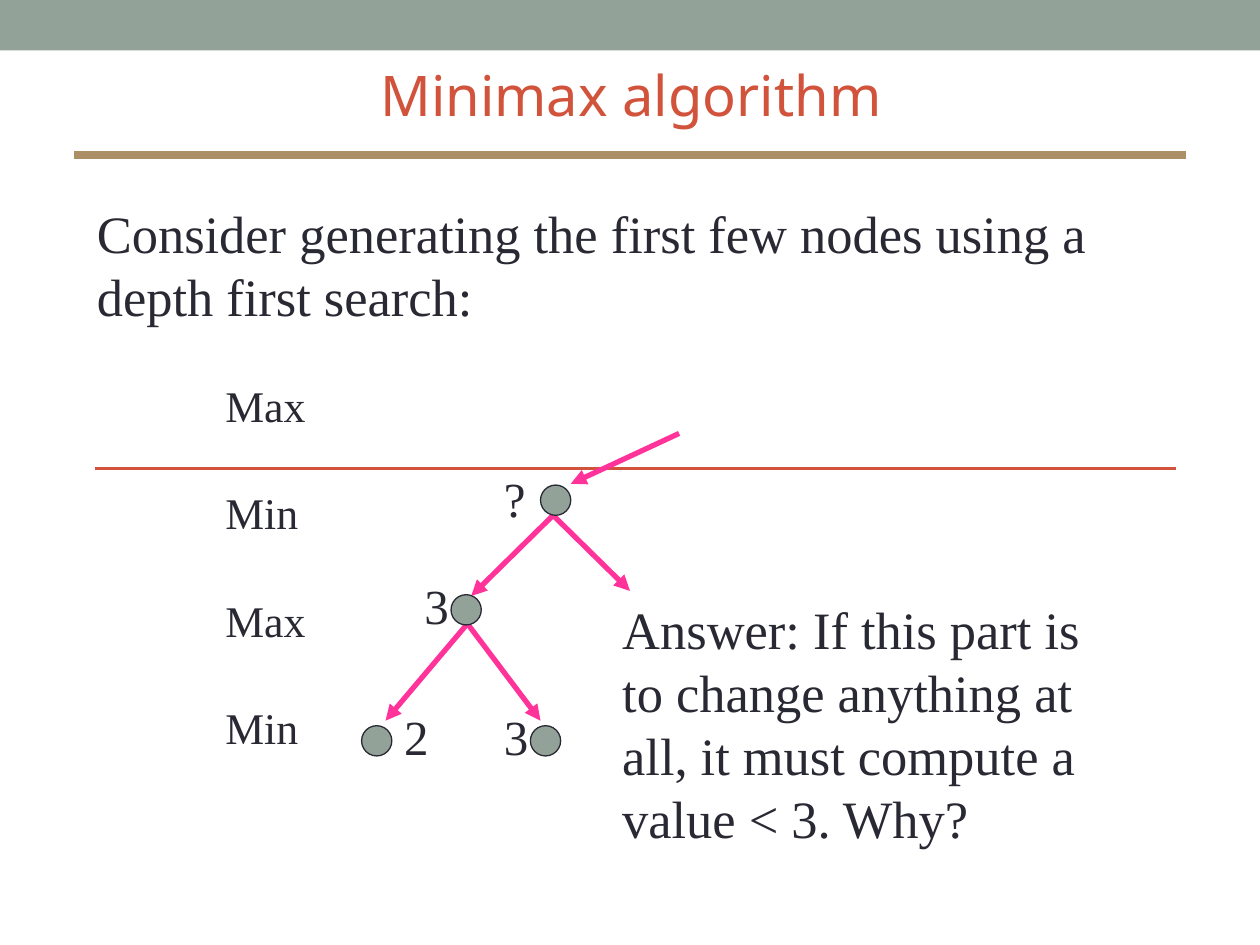
from lxml import etree
from pptx import Presentation
from pptx.dml.color import RGBColor
from pptx.enum.shapes import MSO_CONNECTOR, MSO_SHAPE
from pptx.enum.text import MSO_ANCHOR, MSO_AUTO_SIZE, PP_ALIGN
from pptx.oxml.ns import qn
from pptx.util import Inches, Pt

COLORS = {"band": "93A299", "accent": "D2533C", "rule": "AD8F67",
          "text": "292934", "edge": "FF3399"}
SERIF = "Times New Roman"
NODE_SIZE = 0.24


def color(key):
    return RGBColor.from_string(COLORS[key])


def add_filled(slide, preset, left, top, width, height):
    filled = slide.shapes.add_shape(
        preset, Inches(left), Inches(top), Inches(width), Inches(height))
    filled.shadow.inherit = False
    filled.fill.solid()
    filled.fill.fore_color.rgb = color("band")
    return filled


def add_line(slide, start, end, key, weight, arrow=False):
    line = slide.shapes.add_connector(
        MSO_CONNECTOR.STRAIGHT, *(Inches(v) for v in (*start, *end)))
    line.line.color.rgb = color(key)
    line.line.width = Pt(weight)
    if arrow:
        etree.SubElement(line.line._get_or_add_ln(), qn("a:tailEnd"), type="triangle")
    etree.SubElement(line._element.spPr, qn("a:effectLst"))


def add_text(slide, text, left, top, width, height, size, font=SERIF, key="text"):
    box = slide.shapes.add_textbox(
        Inches(left), Inches(top), Inches(width), Inches(height))
    frame = box.text_frame
    frame.word_wrap = True
    frame.auto_size = MSO_AUTO_SIZE.SHAPE_TO_FIT_TEXT
    frame.text = text
    run_font = frame.paragraphs[0].runs[0].font
    run_font.name, run_font.size = font, Pt(size)
    run_font.color.rgb = color(key)
    return frame


def add_backdrop(slide, width):
    """Top band and the divider across the content area."""
    band = add_filled(slide, MSO_SHAPE.RECTANGLE, 0, 0, width, 0.4)
    band.line.fill.background()
    add_line(slide, (0.75, 3.72), (9.33, 3.72), "accent", 1.5)


def add_title(slide, left, top, width, height):
    title = add_text(slide, "Minimax algorithm", left, top, width, height,
                     32, "Noto Sans", "accent")
    title.auto_size = MSO_AUTO_SIZE.NONE
    title.vertical_anchor = MSO_ANCHOR.MIDDLE
    title.paragraphs[0].alignment = PP_ALIGN.CENTER
    add_line(slide, (0.59, 1.23), (9.41, 1.23), "rule", 4.5)


def add_levels(slide, left, top, pitch):
    """Player to move at each depth of the tree."""
    for depth, player in enumerate(("Max", "Min", "Max", "Min")):
        add_text(slide, player, left, top + depth * pitch, 1.18, 0.52, 25)


def add_tree(slide, left, top):
    """Search tree; every offset is relative to its top left corner."""
    def at(x, y):
        return left + x, top + y

    # Edges
    edges = [((2.52, 0), (1.66, 0.4)),
             ((1.52, 0.65), (0.87, 1.29)), ((1.52, 0.65), (2.13, 1.25)),
             ((0.84, 1.51), (0.19, 2.28)), ((0.84, 1.51), (1.42, 2.28))]
    for start, end in edges:
        add_line(slide, at(*start), at(*end), "edge", 3, arrow=True)

    # Nodes: offset, value, offset of the value label
    nodes = [((1.42, 0.41), "?", (1.03, 0.23)),
             ((0.71, 1.28), "3", (0.4, 1.08)),
             ((0, 2.32), "2", (0.24, 2.12)),
             ((1.34, 2.32), "3", (1.03, 2.12))]
    for place, value, label_place in nodes:
        node = add_filled(slide, MSO_SHAPE.OVAL, *at(*place), NODE_SIZE, NODE_SIZE)
        node.line.color.rgb = color("text")
        node.line.width = Pt(0.75)
        add_text(slide, value, *at(*label_place), 0.47, 0.57, 28)


def main():
    prs = Presentation()
    prs.slide_width, prs.slide_height = Inches(10), Inches(7.5)
    slide = prs.slides.add_slide(prs.slide_layouts[6])

    add_backdrop(slide, 10)
    add_text(slide, "Consider generating the first few nodes using a depth first search:",
             0.67, 1.55, 8.51, 1.1, 30)
    add_tree(slide, 2.87, 3.44)
    add_levels(slide, 1.69, 2.96, 0.85)
    add_text(slide, "Answer: If this part is to change anything at all, "
             "it must compute a value < 3. Why?", 4.84, 4.69, 4.17, 2.1, 30)
    add_title(slide, 0.51, 0.28, 9, 0.94)

    prs.save("out.pptx")


if __name__ == "__main__":
    main()
